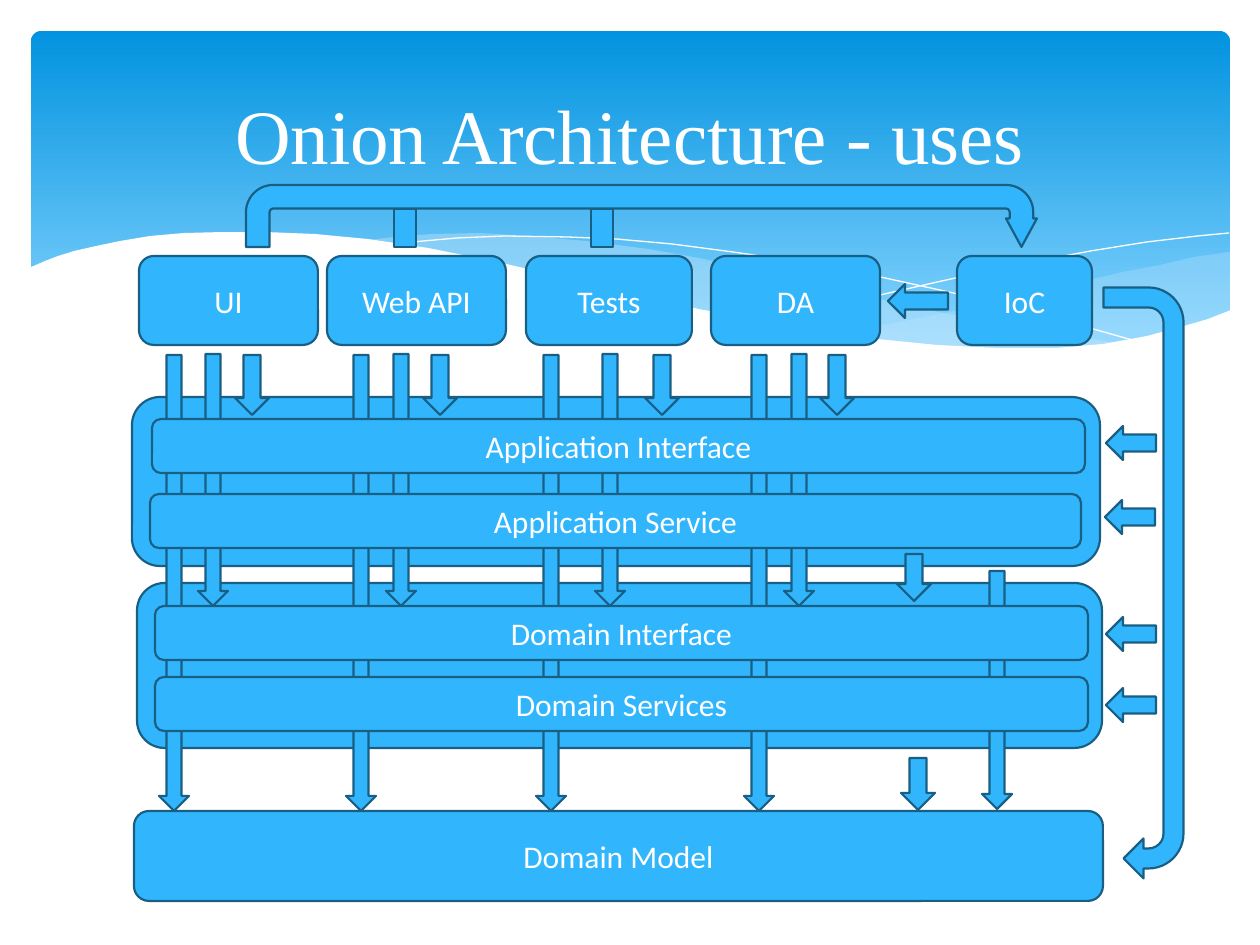
from lxml.etree import SubElement
from pptx import Presentation
from pptx.dml.color import RGBColor
from pptx.enum.shapes import MSO_SHAPE
from pptx.enum.text import MSO_ANCHOR, PP_ALIGN
from pptx.oxml.ns import qn
from pptx.util import Inches, Pt

PX = Inches(1) / 126
BLUE = RGBColor(0x31, 0xB6, 0xFD)
OUTLINE = RGBColor(0x19, 0x5F, 0x84)
WHITE = RGBColor(0xFF, 0xFF, 0xFF)
SKY_TOP = RGBColor(0x02, 0x93, 0xE0)
SKY_BOTTOM = RGBColor(0x83, 0xD3, 0xFE)
MIST = RGBColor(0xC6, 0xE7, 0xFC)

RIGHT_WAVE = [
    (1229, 252), (1194, 257), (1160, 265), (1123, 272), (1085, 281), (1014, 299), (949, 312),
    (890, 324), (833, 334), (871, 339), (906, 343), (954, 348), (1012, 350), (1076, 348),
    (1120, 343), (1160, 334), (1196, 324), (1230, 311), (1230, 252)]
MIDDLE_WAVE = [
    (1125, 344), (1091, 339), (1017, 328), (934, 311), (842, 291), (793, 280), (753, 270),
    (699, 258), (648, 249), (586, 241), (529, 236), (479, 233), (433, 234), (394, 237),
    (360, 241), (407, 247), (456, 256), (509, 266), (566, 280), (668, 302), (757, 321),
    (819, 333), (876, 340), (927, 347), (989, 350), (1056, 350), (1092, 348)]
FALLING_LINE = [
    (389, 246), (413, 242), (457, 238), (505, 236), (567, 237), (616, 239), (672, 244),
    (733, 252), (801, 262), (876, 276), (958, 294), (1047, 316), (1143, 343)]
RISING_LINE = [
    (772, 324), (823, 310), (876, 296), (942, 281), (1016, 265), (1091, 251), (1147, 242),
    (1198, 236), (1229, 233)]
WHITE_WAVE = [
    (1231, 310), (1208, 319), (1184, 326), (1147, 336), (1103, 344), (1055, 348), (999, 348),
    (937, 345), (867, 338), (789, 325), (699, 309), (634, 294), (563, 277), (493, 261),
    (428, 248), (368, 239), (315, 234), (266, 232), (223, 232), (184, 233), (150, 236),
    (120, 241), (96, 246), (74, 251), (58, 256), (45, 261), (29, 268), (29, 415), (1231, 415)]

TITLE = "Onion Architecture - uses"
STUBS = [591, 394]
CLIENTS = [("UI", 139, 179), ("Tests", 526, 166), ("Web API", 327, 179), ("DA", 711, 169),
           ("IoC", 957, 135)]
PANELS = [("", 132, 397, 968, 169), ("", 137, 583, 965, 165), ("Domain Model", 134, 811, 969, 90)]
LAYERS = [("Application Interface", 152, 419, 933), ("Application Service", 150, 494, 931),
          ("Domain Interface", 155, 606, 933), ("Domain Services", 155, 677, 933)]
TO_DOMAIN_INTERFACE = [213, 401, 799, 610]
TO_APPLICATION = [252, 440, 837, 662]
TO_DOMAIN_MODEL = [174, 361, 551, 759]
IOC_ARROWS = [(1105, 500, 50), (1106, 426, 50), (1106, 617, 50), (1106, 688, 50), (888, 284, 60)]

presentation = Presentation()
presentation.slide_width, presentation.slide_height = Inches(10), Inches(7.5)
slide = presentation.slides.add_slide(presentation.slide_layouts[6])


def emu(*lengths):
    return [round(length * PX) for length in lengths]


def write(shape, text, size, font):
    frame = shape.text_frame
    frame.word_wrap = True
    frame.vertical_anchor = MSO_ANCHOR.MIDDLE
    frame.text = text
    paragraph = frame.paragraphs[0]
    paragraph.alignment = PP_ALIGN.CENTER
    for run in paragraph.runs:
        run.font.size, run.font.name = Pt(size), font
        run.font.color.rgb = WHITE


def add_block(kind, left, top, width, height, text="", rotation=0):
    shape = slide.shapes.add_shape(kind, *emu(left, top, width, height))
    shape.shadow.inherit = False
    shape.rotation = rotation
    shape.fill.solid()
    shape.fill.fore_color.rgb = BLUE
    shape.line.color.rgb = OUTLINE
    shape.line.width = Pt(1.25)
    if text:
        write(shape, text, 18, "Calibri")
    return shape


def add_down_arrow(center, top, length, thickness):
    add_block(MSO_SHAPE.RIGHT_ARROW, center - length / 2, top + (length - thickness) / 2,
              length, thickness, rotation=90)


def add_curve(points, closed):
    builder = slide.shapes.build_freeform(*points[0], scale=PX)
    builder.add_line_segments(points[1:], close=closed)
    shape = builder.convert_to_shape()
    shape.shadow.inherit = False
    return shape


def add_wave(points, color, opacity):
    shape = add_curve(points, True)
    shape.fill.solid()
    shape.fill.fore_color.rgb = color
    shape.line.fill.background()
    if opacity < 100:
        for color_element in shape.element.spPr.iter(qn("a:srgbClr")):
            SubElement(color_element, qn("a:alpha"), val=str(opacity * 1000))


def add_hairline(points):
    shape = add_curve(points, False)
    shape.fill.background()
    shape.line.color.rgb = WHITE
    shape.line.width = 0


sky = add_block(MSO_SHAPE.ROUNDED_RECTANGLE, 31, 31, 1199, 340)
sky.adjustments[0] = 0.03
sky.line.fill.background()
sky.fill.gradient()
sky.fill.gradient_angle = 270
for stop, position, color in zip(sky.fill.gradient_stops, (0, 0.9), (SKY_TOP, SKY_BOTTOM)):
    stop.position, stop.color.rgb = position, color

add_wave(RIGHT_WAVE, MIST, 29)
add_wave(MIDDLE_WAVE, MIST, 40)
add_hairline(FALLING_LINE)
add_hairline(RISING_LINE)
add_wave(WHITE_WAVE, WHITE, 100)

for left in STUBS:
    add_block(MSO_SHAPE.RECTANGLE, left, 209, 22, 38)
write(slide.shapes.add_textbox(*emu(63, 47, 1134, 173)), TITLE, 44, "Times New Roman")

for name, left, width in CLIENTS:
    add_block(MSO_SHAPE.ROUNDED_RECTANGLE, left, 256, width, 89, name)
for name, *bounds in PANELS:
    add_block(MSO_SHAPE.ROUNDED_RECTANGLE, *bounds, name)

for center in TO_DOMAIN_INTERFACE:
    add_down_arrow(center, 354, 252, 30)
for center in TO_APPLICATION:
    add_down_arrow(center, 355, 60, 34)
add_down_arrow(918, 758, 52, 34)

add_block(MSO_SHAPE.U_TURN_ARROW, 848, 543, 591, 80, rotation=90)
for left, top, length in IOC_ARROWS:
    add_block(MSO_SHAPE.RIGHT_ARROW, left, top, length, 34, rotation=180)
clients_to_ioc = add_block(MSO_SHAPE.U_TURN_ARROW, 246, 185, 791, 62)
for index, value in enumerate((0.38, 0.25, 0.46, 0.44, 1)):
    clients_to_ioc.adjustments[index] = value

add_down_arrow(997, 571, 238, 30)
for center in TO_DOMAIN_MODEL:
    add_down_arrow(center, 355, 456, 30)
for name, left, top, width in LAYERS:
    add_block(MSO_SHAPE.ROUNDED_RECTANGLE, left, top, width, 54, name)
add_down_arrow(914, 554, 47, 34)

presentation.save("out.pptx")
